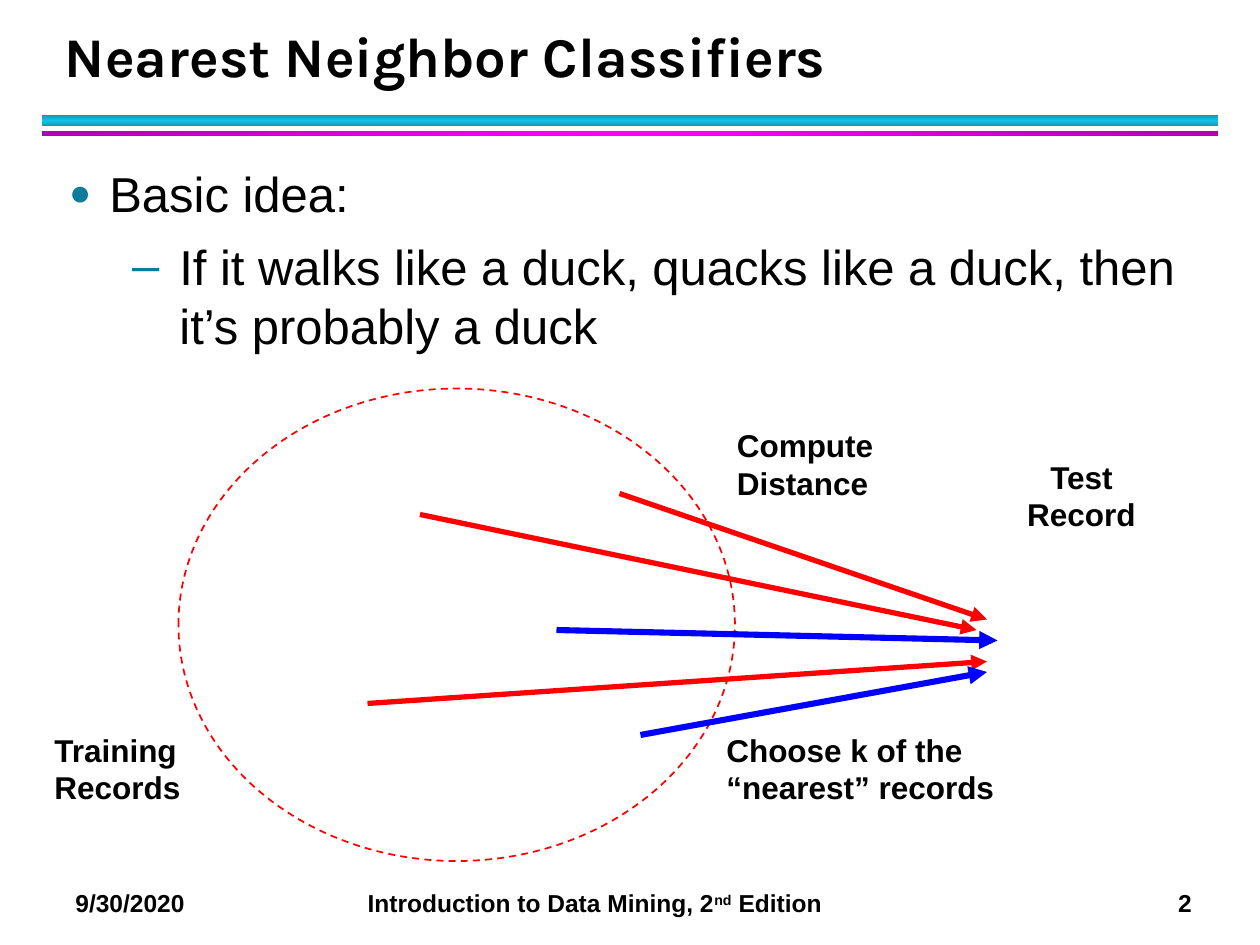
import copy

import pptx
import pptx.dml.color
import pptx.enum.dml
import pptx.enum.shapes
import pptx.enum.text
import pptx.oxml.ns
import pptx.util
from lxml import etree

Pt = pptx.util.Pt
qn = pptx.oxml.ns.qn
ALIGN = pptx.enum.text.PP_ALIGN
SHAPES = pptx.enum.shapes.MSO_SHAPE

COLORS = {
    "text": "000000",
    "bullet": "0C7B9C",
    "cyan_edge": "0E9BBA",
    "cyan": "12C2E9",
    "magenta_edge": "B200B2",
    "magenta": "FF00FF",
    "red": "FF0000",
    "blue": "0000FF",
}


def rgb(name):
    return pptx.dml.color.RGBColor.from_string(COLORS[name])


def format_font(font, size, bold=True, name="Arial"):
    font.name = name
    font.size = Pt(size)
    font.bold = bold
    font.color.rgb = rgb("text")


def add_text(slide, text, left, top, width, height, size=18, align=ALIGN.LEFT,
             bold=True, font_name="Arial"):
    shape = slide.shapes.add_textbox(Pt(left), Pt(top), Pt(width), Pt(height))
    shape.text_frame.word_wrap = True
    shape.text_frame.text = text
    for paragraph in shape.text_frame.paragraphs:
        paragraph.alignment = align
        for run in paragraph.runs:
            format_font(run.font, size, bold, font_name)
    return shape


def add_rule(slide, top, height, edge, middle, angle):
    """Add a full-width bar whose gradient runs edge, middle, edge."""
    shape = slide.shapes.add_shape(SHAPES.RECTANGLE, Pt(24), Pt(top), Pt(672), Pt(height))
    shape.shadow.inherit = False
    shape.line.fill.background()
    shape.fill.gradient()
    shape.fill.gradient_angle = angle
    stop_list = next(shape.element.iter(qn("a:gsLst")))
    stop_list.append(copy.deepcopy(stop_list[0]))
    for stop, position, color in zip(shape.fill.gradient_stops, (0, 0.5, 1), (edge, middle, edge)):
        stop.position = position
        stop.color.rgb = rgb(color)


def set_bullet(paragraph, character, margin, hanging, size_percent=100):
    properties = paragraph._p.get_or_add_pPr()
    properties.set("marL", str(Pt(margin)))
    properties.set("indent", str(-Pt(hanging)))
    color = etree.SubElement(properties, qn("a:buClr"))
    etree.SubElement(color, qn("a:srgbClr"), val=COLORS["bullet"])
    etree.SubElement(properties, qn("a:buSzPct"), val=str(size_percent * 1000))
    etree.SubElement(properties, qn("a:buFont"), typeface="Arial")
    etree.SubElement(properties, qn("a:buChar"), char=character)


def add_body(slide):
    shape = add_text(
        slide,
        "Basic idea:\nIf it walks like a duck, quacks like a duck, then it’s probably a duck",
        32.4, 90, 655, 408, size=28, bold=False)
    idea, detail = shape.text_frame.paragraphs
    set_bullet(idea, "●", 23, 23, 75)
    set_bullet(detail, "–", 63, 27)
    detail.level = 1
    idea.space_after = Pt(4)
    detail.space_before = Pt(4)


def add_training_circle(slide):
    shape = slide.shapes.add_shape(SHAPES.OVAL, Pt(102), Pt(222), Pt(318), Pt(270))
    shape.shadow.inherit = False
    shape.fill.background()
    shape.line.color.rgb = rgb("red")
    shape.line.width = Pt(1)
    shape.line.dash_style = pptx.enum.dml.MSO_LINE.DASH


def add_arrow(slide, start, end, color, width):
    arrow = slide.shapes.add_connector(
        pptx.enum.shapes.MSO_CONNECTOR.STRAIGHT, *(Pt(value) for value in start + end))
    arrow.line.color.rgb = rgb(color)
    arrow.line.width = Pt(width)
    etree.SubElement(arrow.line._get_or_add_ln(), qn("a:tailEnd"), type="triangle")
    etree.SubElement(arrow.element.spPr, qn("a:effectLst"))


def add_footer(slide):
    top, height = 504, 24
    add_text(slide, "9/30/2020", 36, top, 120, height, 14)
    course = add_text(slide, "Introduction to Data Mining, 2", 203, top, 300, height, 14)
    paragraph = course.text_frame.paragraphs[0]
    for text, baseline in (("nd", 30000), (" Edition", 0)):
        run = paragraph.add_run()
        run.text = text
        format_font(run.font, 14)
        run._r.get_or_add_rPr().set("baseline", str(baseline))
    add_text(slide, "2", 628, top, 60, height, 14, ALIGN.RIGHT)


def main():
    presentation = pptx.Presentation()
    presentation.slide_width, presentation.slide_height = Pt(720), Pt(540)
    slide = presentation.slides.add_slide(presentation.slide_layouts[6])

    add_rule(slide, 66, 6, "cyan_edge", "cyan", 90)
    add_rule(slide, 75, 3, "magenta_edge", "magenta", 0)
    add_footer(slide)

    title = add_text(slide, "Nearest Neighbor Classifiers", 30, 12, 652, 42, 32,
                     font_name="Karla")
    title.text_frame.vertical_anchor = pptx.enum.text.MSO_ANCHOR.BOTTOM
    title.text_frame.paragraphs[0].line_spacing = Pt(36)
    add_body(slide)

    add_training_circle(slide)
    add_text(slide, "Training Records", 24, 414, 108, 50)
    add_text(slide, "Test Record", 564, 258, 108, 50, align=ALIGN.CENTER)
    add_text(slide, "Compute Distance", 414, 240, 108, 50)
    add_text(slide, "Choose k of the “nearest” records", 408, 414, 174, 50)

    distances = [((354, 282), (564, 354)), ((210, 402), (564, 378)), ((240, 294), (558, 360))]
    nearest = [((318, 360), (570, 366)), ((366, 420), (564, 384))]
    for arrows, color, width in ((distances, "red", 3), (nearest, "blue", 3.5)):
        for start, end in arrows:
            add_arrow(slide, start, end, color, width)

    presentation.save("out.pptx")


if __name__ == "__main__":
    main()
